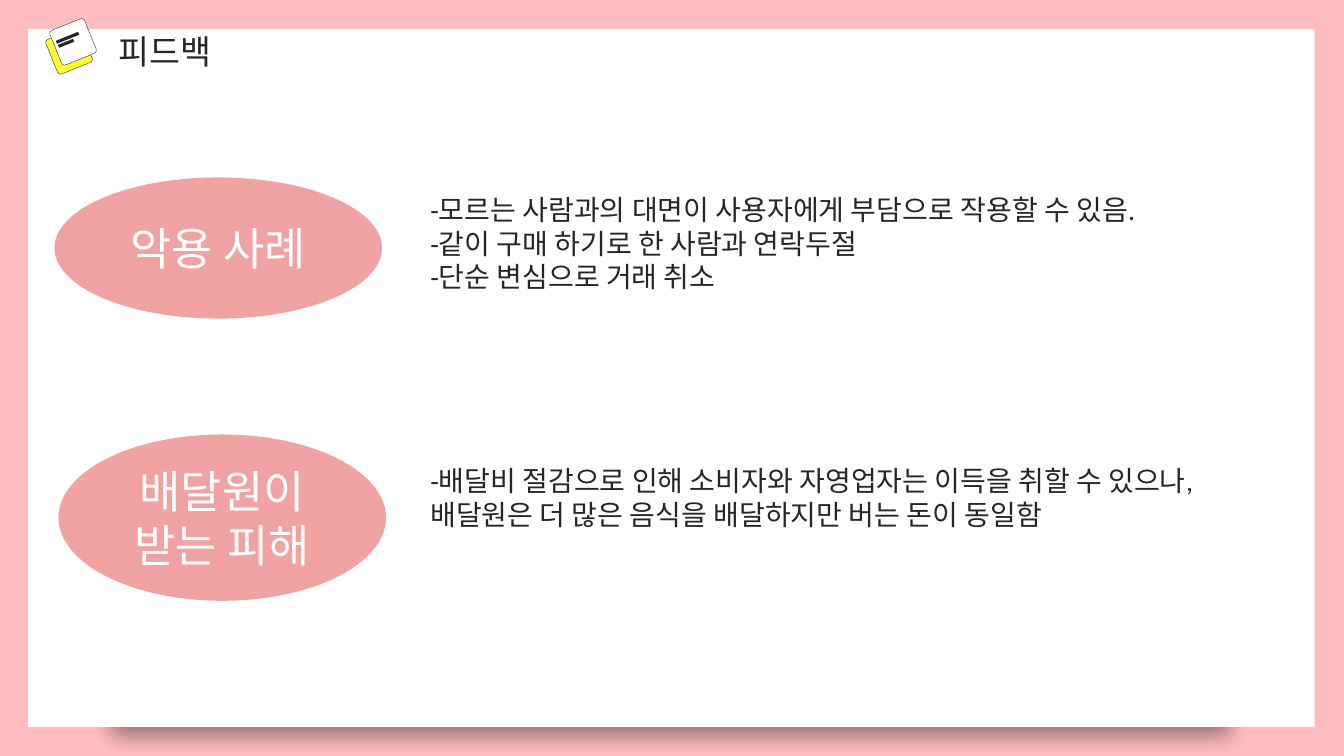
from dataclasses import dataclass

from lxml.etree import SubElement as Sub
from pptx import Presentation
from pptx.dml.color import RGBColor as RGB
from pptx.enum.shapes import MSO_CONNECTOR as Conn, MSO_SHAPE as Kind
from pptx.enum.text import MSO_ANCHOR as Anchor, PP_ALIGN as Align
from pptx.oxml.ns import qn
from pptx.util import Inches, Pt

PINK = RGB(0xFF, 0xBD, 0xBE)
ROSE = RGB(0xF1, 0xA2, 0xA2)
WHITE = RGB(0xFF, 0xFF, 0xFF)
YELLOW = RGB(0xFF, 0xF8, 0x33)
DARK = RGB(0x26, 0x26, 0x26)
FONT = "Calibri"
WIDE, HIGH = Inches(13.333), Inches(7.5)


@dataclass
class Box:
    """A place, in percent of the slide's width and height."""
    x: float
    y: float
    w: float
    h: float

    def place(self) -> tuple[int, int, int, int]:
        return col(self.x), row(self.y), col(self.w), row(self.h)


@dataclass
class Topic:
    label: str
    oval: Box
    notes: list[str]
    body: Box


def col(share: float) -> int:
    return round(WIDE * share / 100)


def row(share: float) -> int:
    return round(HIGH * share / 100)


TOPICS = [
    Topic("악용 사례", Box(4.05, 23.47, 24.38, 18.67),
          ["-모르는 사람과의 대면이 사용자에게 부담으로 작용할 수 있음.",
           "-같이 구매 하기로 한 사람과 연락두절",
           "-단순 변심으로 거래 취소"],
          Box(31.28, 24.8, 64.37, 14.8)),
    Topic("배달원이 받는 피해", Box(4.35, 57.47, 24.38, 22),
          ["-배달비 절감으로 인해 소비자와 자영업자는 이득을 취할 수 있으나,",
           "배달원은 더 많은 음식을 배달하지만 버는 돈이 동일함"],
          Box(31.28, 60.67, 64.37, 10.27)),
]
CARDS = [(Box(3.75, 4.27, 2.78, 4.93), YELLOW),
         (Box(4.05, 3.07, 2.78, 4.93), WHITE)]
STROKES = [(4.2, 5.6, 5.85, 4.4), (4.35, 6.13, 5.48, 5.33)]


def write(shape, lines: list[str], size: int, color: RGB,
          align: Align = Align.LEFT, anchor: Anchor = Anchor.TOP) -> None:
    frame = shape.text_frame
    frame.word_wrap = True
    frame.vertical_anchor = anchor
    for i, line in enumerate(lines):
        para = frame.add_paragraph() if i else frame.paragraphs[0]
        para.alignment = align
        run = para.add_run()
        run.text = line
        run.font.name = FONT
        run.font.size = Pt(size)
        run.font.color.rgb = color


def draw(slide, kind: Kind, box: Box, fill: RGB):
    shape = slide.shapes.add_shape(kind, *box.place())
    shape.shadow.inherit = False
    shape.fill.solid()
    shape.fill.fore_color.rgb = fill
    shape.line.fill.background()
    return shape


def shade(shape) -> None:
    """Cast a soft, narrowed shadow below the shape."""
    glow = Sub(shape.element.spPr.find(qn("a:effectLst")), qn("a:outerShdw"),
               blurRad=str(Pt(15)), dist=str(Pt(72)), dir="5400000",
               sx="87000", sy="87000", algn="t", rotWithShape="0")
    tint = Sub(glow, qn("a:srgbClr"), val="000000")
    Sub(tint, qn("a:alpha"), val="40000")


def icon(slide) -> None:
    for box, fill in CARDS:
        card = draw(slide, Kind.ROUNDED_RECTANGLE, box, fill)
        card.adjustments[0] = 0.09
        card.rotation = -22
        card.line.color.rgb = DARK
        card.line.width = Pt(0.25)
    for x1, y1, x2, y2 in STROKES:
        line = slide.shapes.add_connector(
            Conn.STRAIGHT, col(x1), row(y1), col(x2), row(y2))
        line.line.color.rgb = DARK
        line.line.width = Pt(2.25)
        Sub(line.element.spPr, qn("a:effectLst"))


def main() -> None:
    deck = Presentation()
    deck.slide_width, deck.slide_height = WIDE, HIGH
    slide = deck.slides.add_slide(deck.slide_layouts[5])
    slide.background.fill.solid()
    slide.background.fill.fore_color.rgb = PINK

    # White page with its shadow, behind the title
    page = draw(slide, Kind.RECTANGLE, Box(2.1, 3.87, 95.72, 92.27), WHITE)
    shade(page)
    title = slide.shapes.title
    title.element.addprevious(page.element)

    # Icon and title
    icon(slide)
    title.left, title.top, title.width, title.height = Box(
        8.1, 3.47, 21.83, 6.67).place()
    write(title, ["피드백"], 24, DARK)

    # Topics: an oval label and its notes
    for topic in TOPICS:
        oval = draw(slide, Kind.OVAL, topic.oval, ROSE)
        write(oval, [topic.label], 32, WHITE, Align.CENTER, Anchor.MIDDLE)
        body = slide.shapes.add_textbox(*topic.body.place())
        write(body, topic.notes, 20, DARK)

    deck.save("out.pptx")


if __name__ == "__main__":
    main()
